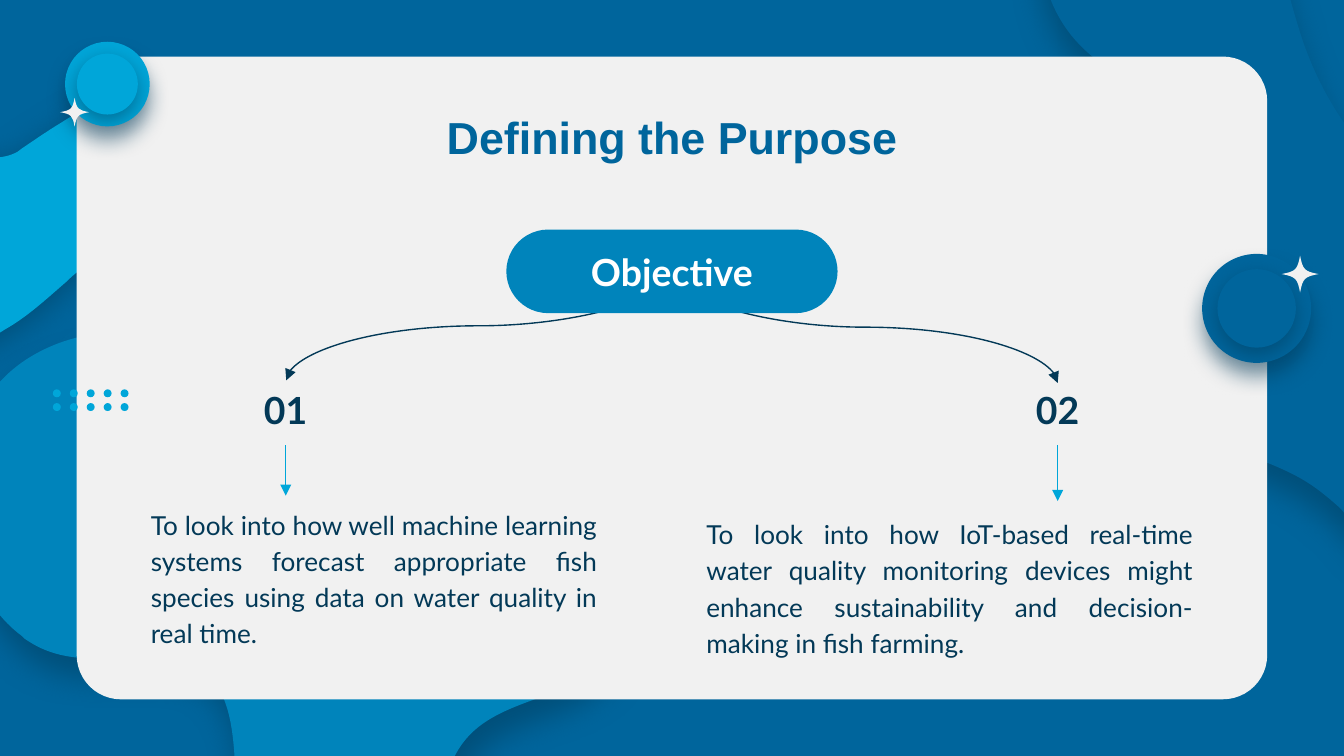
import math

import pptx
import pptx.dml.color
import pptx.enum.shapes
import pptx.enum.text
import pptx.oxml.ns
import pptx.util
from lxml import etree

Cm = pptx.util.Cm
Pt = pptx.util.Pt
SHAPES = pptx.enum.shapes.MSO_SHAPE
CONNECTORS = pptx.enum.shapes.MSO_CONNECTOR
ALIGN = pptx.enum.text.PP_ALIGN
ANCHOR = pptx.enum.text.MSO_ANCHOR
qn = pptx.oxml.ns.qn

SEA, BLUE, SKY, NAVY, PAPER = "00659C", "0084BB", "00A6D9", "033957", "F1F1F1"
HUNDREDTH_INCH = 0.0254

WAVE = [
    (-146, 100, -147, 101, -149, 102), (-172, 119, -179, 140, -175, 162),
    (-167, 207, -123, 251, -78, 261), (-45, 268, -19, 260, 4, 245),
    (20, 236, 34, 223, 49, 210), (56, 203, 63, 198, 71, 193),
    (79, 188, 87, 184, 96, 180), (109, 175, 127, 175, 139, 168),
    (142, 166, 144, 164, 147, 161), (152, 155, 154, 146, 153, 137),
    (152, 112, 135, 89, 113, 79), (89, 68, 66, 78, 46, 91),
    (36, 97, 26, 104, 17, 110), (16, 111, 14, 112, 13, 113),
    (-9, 125, -38, 109, -56, 97), (-82, 79, -118, 83, -144, 99),
]
RIGHT_BLOB = [
    (856, 303, 851, 292, 852, 279), (853, 266, 859, 254, 867, 243),
    (881, 221, 900, 198, 903, 170), (907, 135, 891, 109, 869, 87),
    (852, 70, 832, 56, 814, 43), (810, 40, 807, 37, 804, 34),
    (783, 13, 772, -18, 775, -48), (780, -87, 818, -134, 861, -131),
    (881, -130, 897, -121, 910, -108), (942, -77, 954, -19, 966, 20),
    (974, 47, 987, 74, 1004, 97), (1007, 100, 1010, 104, 1013, 107),
    (1021, 115, 1030, 121, 1040, 125), (1088, 141, 1114, 81, 1156, 73),
    (1173, 70, 1188, 76, 1199, 87), (1205, 92, 1209, 99, 1213, 107),
    (1229, 144, 1226, 193, 1200, 225), (1183, 247, 1158, 259, 1130, 261),
    (1100, 263, 1045, 227, 1019, 247), (1006, 257, 1012, 273, 1019, 284),
    (1021, 288, 1024, 291, 1027, 294), (1038, 305, 1054, 313, 1065, 324),
    (1069, 328, 1073, 333, 1075, 338), (1084, 358, 1073, 382, 1058, 395),
    (1049, 403, 1037, 407, 1026, 404), (1020, 402, 1015, 398, 1011, 394),
    (1008, 391, 1006, 388, 1003, 385), (1001, 383, 999, 380, 997, 378),
    (987, 369, 977, 361, 966, 355), (942, 342, 915, 335, 890, 326),
    (880, 323, 871, 318, 864, 311),
]
LEFT_BLOB = [
    (210, 663, 219, 667, 231, 669), (241, 670, 251, 669, 261, 667),
    (298, 657, 319, 621, 329, 587), (337, 560, 346, 544, 372, 531),
    (410, 512, 451, 513, 463, 464), (473, 425, 460, 383, 428, 359),
    (422, 354, 414, 350, 406, 347), (361, 330, 321, 362, 284, 383),
    (253, 400, 214, 408, 189, 388), (180, 381, 172, 370, 167, 355),
    (157, 321, 159, 281, 132, 261), (126, 256, 118, 253, 108, 250),
    (74, 242, 32, 254, 6, 278), (-27, 309, -35, 355, -27, 398),
    (-21, 427, -8, 455, 16, 473), (18, 475, 19, 476, 21, 477),
    (56, 500, 96, 484, 134, 492), (141, 493, 147, 496, 152, 500),
    (176, 518, 174, 562, 176, 591), (177, 617, 184, 643, 203, 658),
]
STAR = [
    (0.14, 0.24, 0.24, 0.14, 1, 0), (0.24, -0.14, 0.14, -0.24, 0, -1),
    (-0.14, -0.24, -0.24, -0.14, -1, 0), (-0.24, 0.14, -0.14, 0.24, 0, 1),
]


def colour(value):
    return pptx.dml.color.RGBColor.from_string(value)


def paint(shape, value, shadow=None):
    shape.fill.solid()
    shape.fill.fore_color.rgb = colour(value)
    shape.line.fill.background()
    shape.shadow.inherit = False
    if shadow:
        blur, distance, angle = shadow
        effects = shape._element.spPr.find(qn("a:effectLst"))
        outer = etree.SubElement(effects, qn("a:outerShdw"), blurRad=str(Pt(blur)),
                                 dist=str(Pt(distance)), dir=str(angle * 60000),
                                 algn="bl", rotWithShape="0")
        tint = etree.SubElement(outer, qn("a:srgbClr"), val=NAVY)
        etree.SubElement(tint, qn("a:alpha"), val="50000")


def add_solid(page, kind, box, value, shadow=None, corner=None):
    shape = page.shapes.add_shape(kind, *map(Cm, box))
    if corner is not None:
        shape.adjustments[0] = corner
    paint(shape, value, shadow)
    return shape


def turn(x, y, degrees):
    cos, sin = math.cos(math.radians(degrees)), math.sin(math.radians(degrees))
    return x * cos - y * sin, x * sin + y * cos


def add_outline(page, origin, curves, unit, value, shadow=None, rotation=0):
    points = []
    for curve in curves:
        for x, y in zip(curve[::2], curve[1::2]):
            place = turn(origin[0] + x * unit, origin[1] + y * unit, -rotation)
            points.append(tuple(map(Cm, place)))
    builder = page.shapes.build_freeform(*points[-1])
    builder.add_line_segments(points, close=True)
    shape = builder.convert_to_shape()
    lines = list(shape._element.iter(qn("a:lnTo")))
    for first, second, third in zip(lines[::3], lines[1::3], lines[2::3]):
        curve = etree.Element(qn("a:cubicBezTo"))
        first.addprevious(curve)
        for line in (first, second, third):
            curve.append(line[0])
            line.getparent().remove(line)
    middle_x, middle_y = turn(shape.left + shape.width / 2,
                              shape.top + shape.height / 2, rotation)
    shape.left = round(middle_x - shape.width / 2)
    shape.top = round(middle_y - shape.height / 2)
    shape.rotation = rotation
    paint(shape, value, shadow)


def write(shape, text, size, value, font="Lato", bold=False, align=ALIGN.CENTER,
          anchor=ANCHOR.TOP, spacing=None):
    frame = shape.text_frame
    frame.text = text
    frame.word_wrap = True
    frame.vertical_anchor = anchor
    frame.margin_left = frame.margin_right = Cm(0.25)
    frame.margin_top = frame.margin_bottom = Cm(0.25)
    para = frame.paragraphs[0]
    para.alignment = align
    para.line_spacing = spacing
    span = para.runs[0]
    span.font.name = font
    span.font.size = Pt(size)
    span.font.bold = bold
    span.font.color.rgb = colour(value)


def add_text(page, box, text, size, value, **style):
    write(page.shapes.add_textbox(*map(Cm, box)), text, size, value, **style)


def add_arrow(page, kind, start, end, value):
    arrow = page.shapes.add_connector(kind, *map(Cm, (*start, *end)))
    arrow.line.color.rgb = colour(value)
    arrow.line.width = Pt(0.75)
    line = arrow._element.spPr.find(qn("a:ln"))
    etree.SubElement(line, qn("a:tailEnd"), type="triangle")
    etree.SubElement(arrow._element.spPr, qn("a:effectLst"))
    return arrow


def add_branch(page, start, end):
    middle_x, middle_y = (start[0] + end[0]) / 2, (start[1] + end[1]) / 2
    side = 1 if end[0] > start[0] else -1
    across, down = (end[1] - start[1]) / 2 * side, abs(end[0] - start[0]) / 2
    arrow = add_arrow(page, CONNECTORS.CURVE, (middle_x + across, middle_y - down),
                      (middle_x - across, middle_y + down), NAVY)
    arrow._element.spPr.find(qn("a:xfrm")).set("rot", str((180 + 90 * side) * 60000))


def add_backdrop(page, box):
    left, top, width, height = box
    for curves, value, shadow, rotation in (
            (WAVE, SKY, (16.9, 3, 71), 327.8),
            (RIGHT_BLOB, SEA, (16.9, 11.2, 90), 225),
            (LEFT_BLOB, BLUE, (16.9, 11.2, 75), 217.1)):
        add_outline(page, (left, top), curves, HUNDREDTH_INCH, value, shadow, rotation)
    panel = (left + 1.45, top + 1.07, width - 2.9, height - 2.14)
    add_solid(page, SHAPES.ROUNDED_RECTANGLE, panel, PAPER, corner=0.069)


def add_button(page, box, value, star_at):
    left, top, size, _ = box
    inset = size * 0.14
    inner = (left + inset, top + inset, size - 2 * inset, size - 2 * inset)
    add_solid(page, SHAPES.OVAL, box, value, (11.2, 7.5, 90))
    add_solid(page, SHAPES.OVAL, inner, value, (11.2, 3.8, 90))
    star = (left + star_at[0], top + star_at[1])
    add_outline(page, star, STAR, size * 0.17, PAPER, rotation=180)


def add_dots(page, box, columns=5, rows=2, size=0.15):
    left, top, width, height = box
    for row in range(rows):
        for column in range(columns):
            x = left + column * (width - size) / (columns - 1)
            y = top + row * (height - size) / (rows - 1)
            add_solid(page, SHAPES.OVAL, (x, y, size, size), SKY)


def add_option(page, box, number, text, text_box, arrow_length):
    left, top, width, height = box
    middle, bottom = left + width / 2, top + height
    add_text(page, text_box, text, 14, NAVY, align=ALIGN.JUSTIFY, spacing=1.15)
    add_text(page, box, number, 20, NAVY, bold=True, anchor=ANCHOR.BOTTOM, spacing=1.15)
    add_arrow(page, CONNECTORS.STRAIGHT, (middle, bottom), (middle, bottom + arrow_length), SKY)


def add_objective(page, box, targets):
    left, top, width, height = box
    for target in targets:
        add_branch(page, (left + width / 2, top + height / 2), target)
    pill = add_solid(page, SHAPES.ROUNDED_RECTANGLE, box, BLUE, corner=0.5)
    write(pill, "Objective", 20, "FFFFFF", bold=True, anchor=ANCHOR.MIDDLE)


def main():
    deck = pptx.Presentation()
    deck.slide_width, deck.slide_height = Cm(25.4), Cm(14.29)
    page = deck.slides.add_slide(deck.slide_layouts[6])
    page.background.fill.solid()
    page.background.fill.fore_color.rgb = colour(SEA)

    add_backdrop(page, (0, 0, 25.4, 14.29))
    add_text(page, (2, 1.83, 21.4, 1.6), "Defining the Purpose", 24, SEA,
             font="Arial", bold=True)
    add_option(page, (2, 7.22, 6.8, 1.2), "01",
               "To look into how well machine learning systems forecast appropriate "
               "fish species using data on water quality in real time.",
               (2.6, 9.29, 8.94, 3.71), 0.95)
    add_option(page, (16.59, 7.22, 6.8, 1.2), "02",
               "To look into how IoT-based real-time water quality monitoring devices "
               "might enhance sustainability and decision-making in fish farming.",
               (13.1, 9.47, 9.7, 3.3), 1.05)
    add_button(page, (1.23, 0.79, 1.6, 1.6), SKY, (0.18, 1.33))
    add_button(page, (22.72, 4.8, 2.06, 2.06), SEA, (1.85, 0.38))
    add_dots(page, (1, 7.36, 1.43, 0.41))
    add_objective(page, (9.57, 4.34, 6.26, 1.58), [(5.41, 7.19), (19.99, 7.24)])
    deck.save("out.pptx")


if __name__ == "__main__":
    main()
